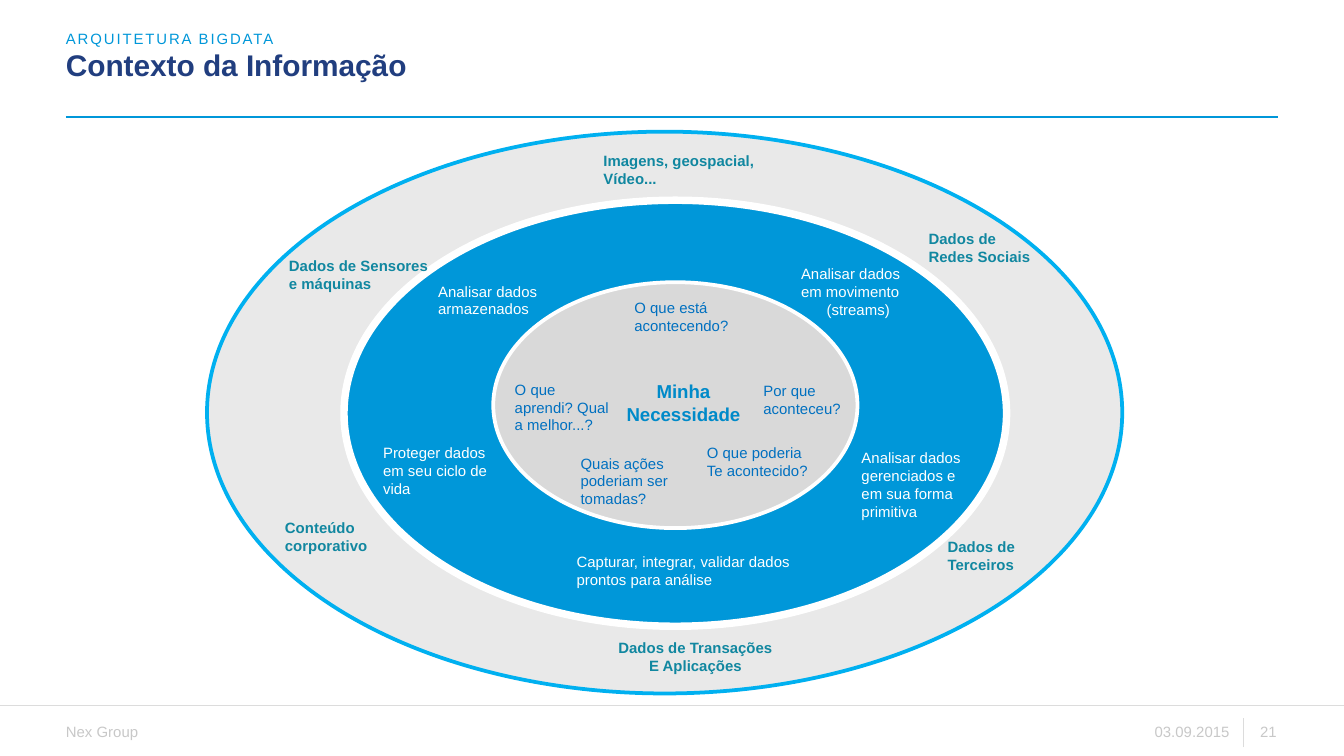
from pptx import Presentation
from pptx.dml.color import RGBColor
from pptx.enum.shapes import MSO_CONNECTOR, MSO_SHAPE
from pptx.enum.text import MSO_ANCHOR, PP_ALIGN
from pptx.oxml.ns import qn
from pptx.util import Pt
from lxml.etree import SubElement

PX = 9144  # 100 px to the inch
COLORS = {
    "blue": "0097D9", "navy": "213E7F", "rule": "DCDCDC", "footer": "C8C8C8",
    "sky": "00B0F0", "outer": "E9E9E9", "core": "D9D9D9", "white": "FFFFFF",
    "question": "0070C0", "need": "008AC9", "source": "1187A0",
}


def rgb(name):
    return RGBColor.from_string(COLORS[name])


def add_text(text, box, color, size=8, bold=False, align=PP_ALIGN.LEFT, anchor=MSO_ANCHOR.TOP,
             wrap=True, line_spacing=None, tracking=None, last_indent=0):
    """Add a text box without margins; each line of text becomes a paragraph."""
    frame = slide.shapes.add_textbox(*[v * PX for v in box]).text_frame
    frame.margin_left = frame.margin_right = frame.margin_top = frame.margin_bottom = 0
    frame.word_wrap = wrap
    frame.vertical_anchor = anchor
    for index, line in enumerate(text.split("\n")):
        paragraph = frame.add_paragraph() if index else frame.paragraphs[0]
        paragraph.alignment = align
        if line_spacing:
            paragraph.line_spacing = Pt(line_spacing)
        run = paragraph.add_run()
        run.text = line
        run.font.name = "Arial"
        run.font.size = Pt(size)
        run.font.bold = bold
        run.font.color.rgb = rgb(color)
        if tracking:
            run._r.get_or_add_rPr().set("spc", str(tracking * 100))
    if last_indent:
        paragraph._p.get_or_add_pPr().set("marL", str(last_indent * PX))


prs = Presentation()
prs.slide_width = 1000 * PX
prs.slide_height = prs.slide_width * 9 // 16
slide = prs.slides.add_slide(prs.slide_layouts[6])

# Header and footer
for x1, y1, x2, y2, color in [
    (49, 87, 951, 87, "blue"),
    (-3, 525, 1003, 525, "rule"),
    (925, 556, 925, 534, "rule"),
]:
    rule = slide.shapes.add_connector(
        MSO_CONNECTOR.STRAIGHT, x1 * PX, y1 * PX, x2 * PX, y2 * PX)
    rule.line.color.rgb = rgb(color)
    rule.line.width = Pt(0.75)
    SubElement(rule._element.spPr, qn("a:effectLst"))

for text, left, width, align in [
    ("Nex Group", 49, 57, PP_ALIGN.LEFT),
    ("03.09.2015", 858, 57, PP_ALIGN.RIGHT),
    ("21", 928, 22, PP_ALIGN.RIGHT),
]:
    add_text(text, (left, 538, width, 13), "footer", align=align,
             anchor=MSO_ANCHOR.MIDDLE, wrap=False)

add_text("Contexto da Informação", (49, 38, 732, 24), "navy", size=16, bold=True, line_spacing=17)
add_text("ARQUITETURA BIGDATA", (49, 22, 732, 13), "blue", anchor=MSO_ANCHOR.BOTTOM, tracking=1)

# Rings, from the outside in
for box, fill, outline, weight in [
    ((154, 98, 681, 418), "outer", "sky", 2),
    ((256, 149, 493, 317), "blue", "white", 4),
    ((367, 210, 271, 183), "core", "white", 2),
]:
    ring = slide.shapes.add_shape(MSO_SHAPE.OVAL, *[v * PX for v in box])
    ring.shadow.inherit = False
    ring.fill.solid()
    ring.fill.fore_color.rgb = rgb(fill)
    ring.line.color.rgb = rgb(outline)
    ring.line.width = Pt(weight)

# Middle ring: what is done with the data
for text, box, options in [
    ("Analisar dados\narmazenados", (326, 210, 75, 27), {"wrap": False}),
    ("Analisar dados\nem movimento\n(streams)", (596, 197, 75, 40),
     {"wrap": False, "last_indent": 19}),
    ("Analisar dados\ngerenciados e\nem sua forma\nprimitiva", (641, 334, 75, 54),
     {"wrap": False}),
    ("Capturar, integrar, validar dados prontos para análise", (429, 411, 194, 27), {}),
    ("Proteger dados\nem seu ciclo de\nvida", (285, 330, 82, 40), {"wrap": False}),
]:
    add_text(text, box, "white", **options)

# Core: the questions around the need
for text, box in [
    ("O que está acontecendo?", (472, 222, 77, 27)),
    ("Por que aconteceu?", (568, 284, 77, 27)),
    ("O que poderia\nTe acontecido?", (526, 330, 77, 27)),
    ("Quais ações poderiam ser tomadas?", (432, 338, 80, 40)),
    ("O que aprendi? Qual\na melhor...?", (383, 283, 75, 40)),
]:
    add_text(text, box, "question")
add_text("Minha\nNecessidade", (462, 283, 93, 34), "need", size=10, bold=True,
         align=PP_ALIGN.CENTER)

# Outer ring: the sources of the data
for text, left, top, width, align in [
    ("Imagens, geospacial,\nVídeo...", 449, 113, 114, PP_ALIGN.LEFT),
    ("Dados de\nRedes Sociais", 691, 171, 77, PP_ALIGN.LEFT),
    ("Dados de\nTerceiros", 705, 400, 51, PP_ALIGN.LEFT),
    ("Dados de Transações\nE Aplicações", 459, 475, 117, PP_ALIGN.CENTER),
    ("Conteúdo\ncorporativo", 212, 386, 62, PP_ALIGN.LEFT),
    ("Dados de Sensores\ne máquinas", 215, 191, 105, PP_ALIGN.LEFT),
]:
    add_text(text, (left, top, width, 27), "source", bold=True, align=align, wrap=False)

prs.save("out.pptx")
